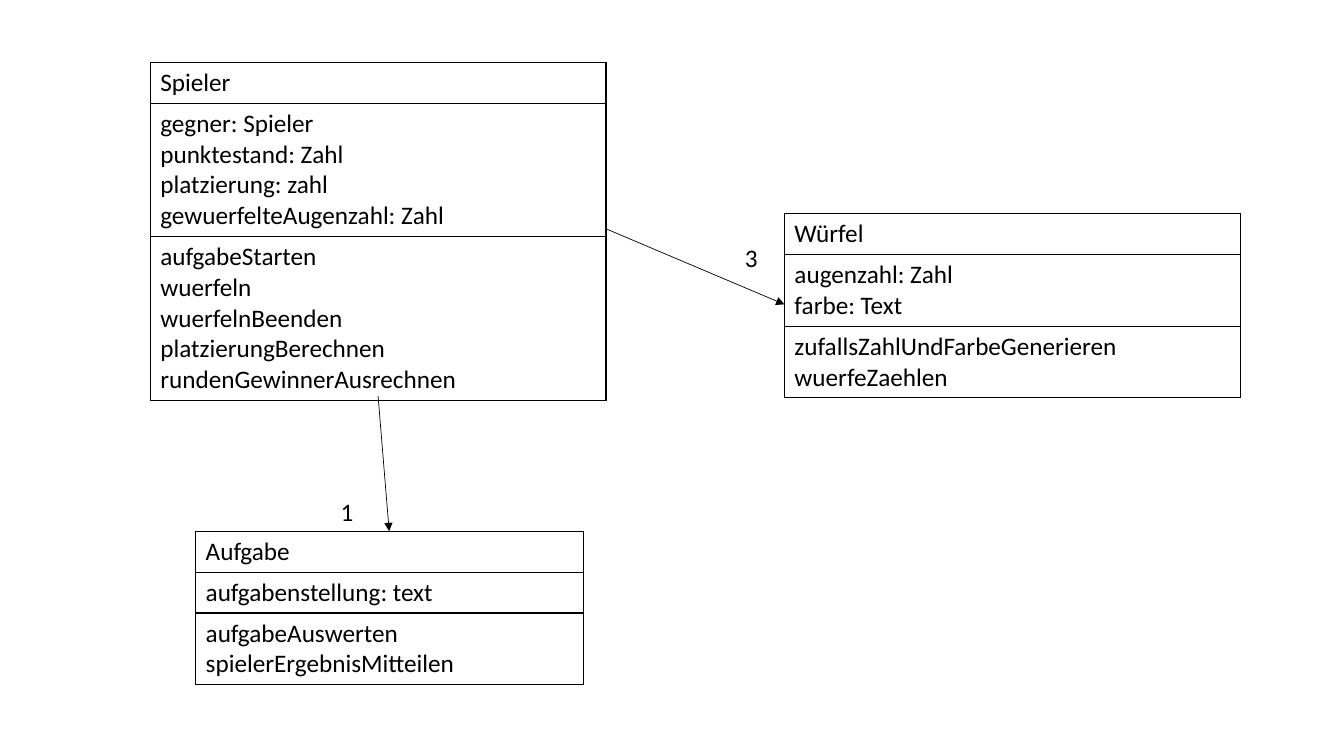
"""Builds a class diagram slide with three classes and their associations."""
from lxml.etree import SubElement
from pptx import Presentation
from pptx.dml.color import RGBColor
from pptx.enum.shapes import MSO_CONNECTOR
from pptx.enum.text import MSO_AUTO_SIZE
from pptx.oxml.ns import qn
from pptx.util import Inches, Pt

BLACK = RGBColor(0x00, 0x00, 0x00)
WHITE = RGBColor(0xFF, 0xFF, 0xFF)
FONT = "Calibri"
LINE_HEIGHT = 0.305
CELL_PADDING = 0.1

CLASSES = [
    (1.49, 0.62, 4.52, [
        ["Spieler"],
        ["gegner: Spieler", "punktestand: Zahl", "platzierung: zahl",
         "gewuerfelteAugenzahl: Zahl"],
        ["aufgabeStarten", "wuerfeln", "wuerfelnBeenden",
         "platzierungBerechnen", "rundenGewinnerAusrechnen"],
    ]),
    (1.94, 5.27, 3.85, [
        ["Aufgabe"],
        ["aufgabenstellung: text"],
        ["aufgabeAuswerten", "spielerErgebnisMitteilen"],
    ]),
    (7.78, 2.12, 4.52, [
        ["Würfel"],
        ["augenzahl: Zahl", "farbe: Text"],
        ["zufallsZahlUndFarbeGenerieren", "wuerfeZaehlen"],
    ]),
]
ASSOCIATIONS = [
    ((3.75, 3.93), (3.86, 5.27), "1", (3.28, 4.87)),
    ((6.01, 2.27), (7.78, 3.02), "3", (7.29, 2.35)),
]


def write_lines(text_frame, lines):
    """Write each line as a paragraph in the diagram's font."""
    text_frame.text = "\n".join(lines)
    for paragraph in text_frame.paragraphs:
        paragraph.font.name = FONT
        paragraph.font.size = Pt(18)
        paragraph.font.bold = False
        paragraph.font.color.rgb = BLACK


def add_borders(cell):
    """Draw a thin black line on every side of a cell."""
    properties = cell._tc.get_or_add_tcPr()
    for side in ("a:lnL", "a:lnR", "a:lnT", "a:lnB"):
        line = SubElement(properties, qn(side), w=str(Pt(1)))
        fill = SubElement(line, qn("a:solidFill"))
        SubElement(fill, qn("a:srgbClr"), val=str(BLACK))


def add_class(slide, left, top, width, sections):
    """Add a class as a table with one row per section."""
    heights = [CELL_PADDING + LINE_HEIGHT * len(lines) for lines in sections]
    table = slide.shapes.add_table(
        len(sections), 1, Inches(left), Inches(top),
        Inches(width), Inches(sum(heights))).table
    table.first_row = False
    table.horz_banding = False
    for row, height, lines in zip(table.rows, heights, sections):
        row.height = Inches(height)
        cell = row.cells[0]
        write_lines(cell.text_frame, lines)
        add_borders(cell)
        cell.fill.solid()
        cell.fill.fore_color.rgb = WHITE


def add_association(slide, start, end, multiplicity, label_position):
    """Add an arrow between classes and its multiplicity label."""
    arrow = slide.shapes.add_connector(
        MSO_CONNECTOR.STRAIGHT, *map(Inches, start + end))
    arrow.line.color.rgb = BLACK
    arrow.line.width = Pt(0.5)
    SubElement(arrow.line._get_or_add_ln(), qn("a:tailEnd"), type="triangle")
    SubElement(arrow._element.spPr, qn("a:effectLst"))

    label = slide.shapes.add_textbox(
        *map(Inches, label_position), Inches(0.33), Inches(0.4))
    write_lines(label.text_frame, [multiplicity])
    label.text_frame.word_wrap = False
    label.text_frame.auto_size = MSO_AUTO_SIZE.SHAPE_TO_FIT_TEXT


def build_class_diagram(presentation):
    """Add the slide with all classes and associations."""
    slide = presentation.slides.add_slide(presentation.slide_layouts[6])
    for class_data in CLASSES:
        add_class(slide, *class_data)
    for association in ASSOCIATIONS:
        add_association(slide, *association)


presentation = Presentation()
presentation.slide_width = Inches(13.33)
presentation.slide_height = Inches(7.5)
build_class_diagram(presentation)
presentation.save("out.pptx")
